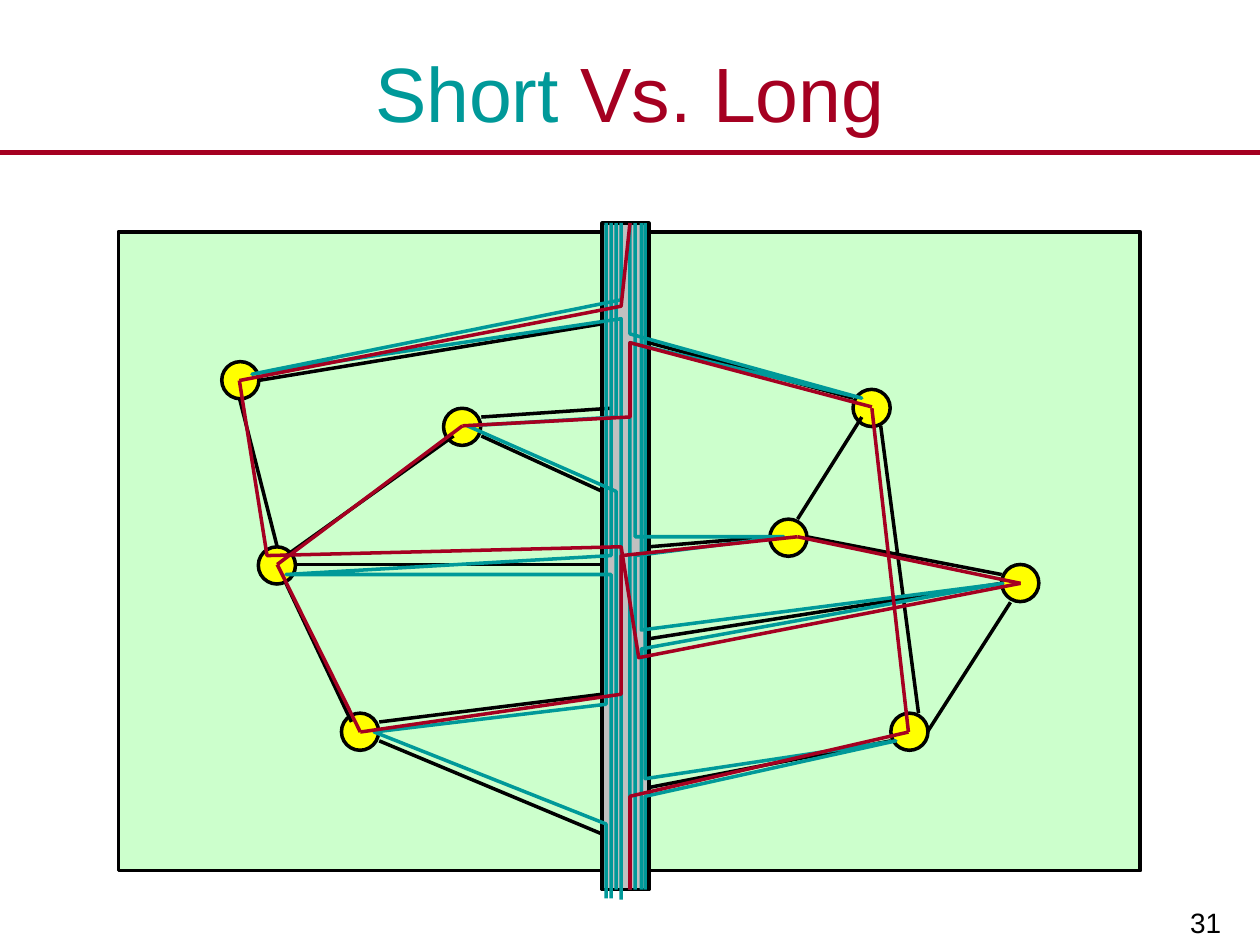
from dataclasses import dataclass

import pptx
import pptx.dml.color
import pptx.enum.shapes
import pptx.enum.text
import pptx.util
from lxml import etree

Point = tuple[float, float]


@dataclass(frozen=True)
class Theme:
    font: str = "Arial"
    title: float = 44
    number: float = 16
    wire: float = 2
    rule: float = 3
    black: str = "000000"
    teal: str = "009999"
    red: str = "A50021"
    yellow: str = "FFFF00"
    green: str = "CCFFCC"
    grey: str = "C0C0C0"


@dataclass(frozen=True)
class Box:
    col: float
    row: float
    cols: float
    rows: float


@dataclass(frozen=True)
class Wire:
    color: str
    points: list[Point]


@dataclass(frozen=True)
class Loop:
    """Short route: up a lane of the bus, out to a node and back."""
    lane: float
    foot: float
    leave: float
    node: Point
    enter: float
    top: float = 17.7

    def wire(self) -> Wire:
        rows = [(self.lane, self.foot), (self.lane, self.leave), self.node,
                (self.lane, self.enter), (self.lane, self.top)]
        return Wire(THEME.teal, rows)


THEME = Theme()
SHAPE = pptx.enum.shapes.MSO_SHAPE
ALIGN = pptx.enum.text.PP_ALIGN
ANCHOR = pptx.enum.text.MSO_ANCHOR

deck = pptx.Presentation()
deck.slide_width = pptx.util.Inches(10)
deck.slide_height = pptx.util.Inches(7.5)
slide = deck.slides.add_slide(deck.slide_layouts[5])
shapes = slide.shapes
# The grid has 100 columns and 75 rows of equal size
UNIT = deck.slide_width / 100


def size(units: float) -> int:
    return round(units * UNIT)


def color(code: str) -> pptx.dml.color.RGBColor:
    return pptx.dml.color.RGBColor.from_string(code)


def place(item, box: Box) -> None:
    item.left, item.top = size(box.col), size(box.row)
    item.width, item.height = size(box.cols), size(box.rows)


def stroke(item, code: str, width: float = THEME.wire) -> None:
    item.line.color.rgb = color(code)
    item.line.width = pptx.util.Pt(width)


def draw_shape(kind, box: Box, fill: str) -> None:
    item = shapes.add_shape(kind, 0, 0, 0, 0)
    place(item, box)
    item.shadow.inherit = False
    item.fill.solid()
    item.fill.fore_color.rgb = color(fill)
    stroke(item, THEME.black)


def draw_wire(wire: Wire, width: float = THEME.wire) -> None:
    dots = [(size(col), size(row)) for col, row in wire.points]
    if len(dots) == 2:
        item = shapes.add_connector(
            pptx.enum.shapes.MSO_CONNECTOR.STRAIGHT, *dots[0], *dots[1])
        stroke(item, wire.color, width)
        etree.SubElement(item._element.spPr,
                         pptx.oxml.ns.qn("a:effectLst"))
    else:
        form = shapes.build_freeform(*dots[0])
        form.add_line_segments(dots[1:], close=False)
        item = form.convert_to_shape()
        item.shadow.inherit = False
        item.fill.background()
        stroke(item, wire.color, width)


def write(item, runs: list[tuple[str, str]], points: float, align,
          anchor) -> None:
    frame = item.text_frame
    frame.word_wrap = True
    frame.vertical_anchor = anchor
    line = frame.paragraphs[0]
    line.alignment = align
    for text, code in runs:
        run = line.add_run()
        run.text = text
        run.font.name = THEME.font
        run.font.size = pptx.util.Pt(points)
        run.font.color.rgb = color(code)


# Title, rule and page number
draw_wire(Wire(THEME.red, [(0, 12.1), (100, 12.1)]), THEME.rule)
page = shapes.add_textbox(0, 0, 0, 0)
place(page, Box(78, 69.3, 19.9, 5.7))
write(page, [("31", THEME.black)], THEME.number, ALIGN.RIGHT, ANCHOR.BOTTOM)
place(shapes.title, Box(0, 3, 100, 8.6))
write(shapes.title, [("Short", THEME.teal), (" Vs. Long", THEME.red)],
      THEME.title, ALIGN.CENTER, ANCHOR.MIDDLE)

# Board, nodes and bus
NODE = 2.95
NODES = [(17.6, 28.7), (20.5, 43.4), (27.1, 56.6), (35.2, 32.4),
         (67.7, 30.9), (79.5, 44.8), (70.7, 56.6), (61.1, 41.2)]
draw_shape(SHAPE.RECTANGLE, Box(9.4, 18.4, 81.1, 50.7), THEME.green)
for col, row in NODES:
    draw_shape(SHAPE.OVAL, Box(col, row, NODE, NODE), THEME.yellow)
draw_shape(SHAPE.RECTANGLE, Box(47.8, 17.7, 3.7, 52.9), THEME.grey)

# Network links
LINKS = [
    [(30.1, 58.8), (47.8, 66.2)], [(30.1, 57.3), (47.8, 55.1)],
    [(23.5, 44.8), (47.8, 44.8)], [(20.5, 30.2), (47.8, 25.7)],
    [(38.2, 34.6), (47.8, 39)], [(38.2, 33.1), (48.5, 32.4)],
    [(51.5, 62.5), (70.7, 58.8)], [(72.9, 56.6), (69.9, 33.8)],
    [(73.6, 58.1), (80.2, 47.8)], [(51.5, 43.4), (61.1, 42.6)],
    [(51.5, 50.7), (79.5, 46.3)], [(22.7, 44.1), (36, 34.6)],
    [(19, 31.6), (22, 43.4)], [(22.7, 46.3), (27.9, 57.3)],
    [(63.3, 41.2), (68.4, 33.1)], [(51.5, 27.2), (67.7, 31.6)],
]
# Short routes, one lane of the bus each
LOOPS = [
    Loop(48.1, 71.3, 65.4, (29.7, 58.1), 55.9),
    Loop(48.5, 71.3, 45.6, (22.7, 45.6), 44.1),
    Loop(48.9, 70.6, 39, (37.1, 33.8), 33.1),
    Loop(49.3, 71.4, 25.3, (20, 29.7), 23.8),
    Loop(51.2, 70.6, 63.2, (71.1, 58.8), 61.8),
    Loop(50.9, 70.6, 51.5, (79.6, 46.3), 50),
    Loop(50.4, 70.6, 44.1, (62.2, 42.6), 42.6),
    Loop(50, 70.6, 27.2, (68.4, 31.6), 26.5),
]
# Long route, leg by leg from foot to top
LEGS = [
    [(50, 70.6), (50, 63.2), (72.1, 58.1)],
    [(72.1, 58.1), (69.2, 32.4)],
    [(69.2, 32.3), (50, 27.2), (50, 33.1), (36.7, 33.8)],
    [(36.7, 33.8), (22, 44.8)],
    [(22, 44.8), (28.6, 58.1)],
    [(28.6, 58.1), (49.3, 55.1), (49.3, 44.1), (63.3, 42.6)],
    [(63.3, 42.6), (81, 46.3)],
    [(81, 46.3), (50.7, 52.2), (49.3, 43.4), (21.2, 44.1), (19, 30.2)],
    [(19, 30.2), (49.3, 24.3), (50, 17.7)],
]
wires = [Wire(THEME.black, link) for link in LINKS]
wires += [loop.wire() for loop in LOOPS]
wires += [Wire(THEME.black, [(64, 42.6), (79.5, 45.6)])]
wires += [Wire(THEME.red, leg) for leg in LEGS]
for wire in wires:
    draw_wire(wire)

deck.save("out.pptx")
